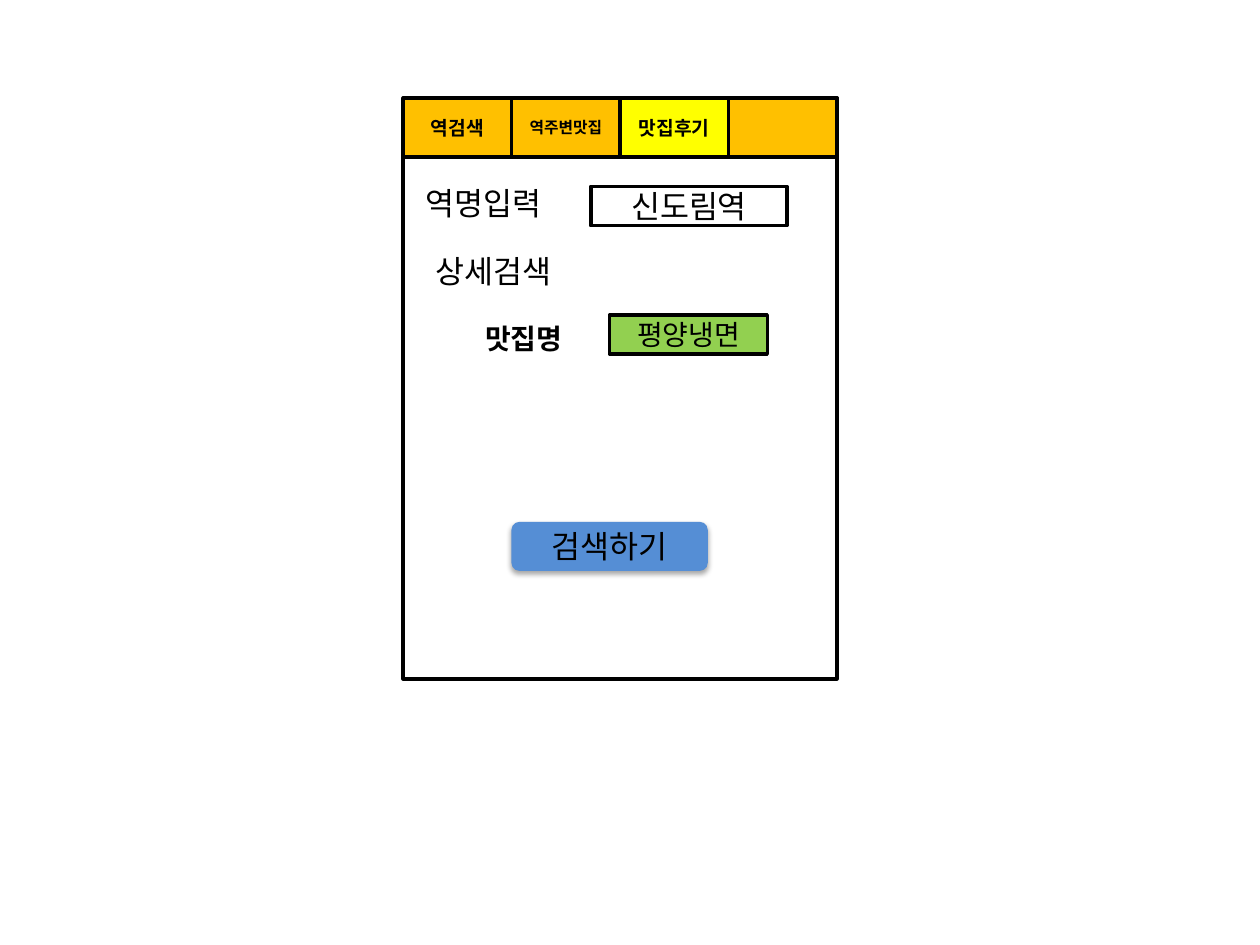
from lxml import etree
from pptx import Presentation
from pptx.dml.color import RGBColor
from pptx.enum.shapes import MSO_SHAPE
from pptx.enum.text import MSO_ANCHOR, MSO_AUTO_SIZE, PP_ALIGN
from pptx.oxml.ns import qn
from pptx.util import Cm, Pt

BLACK = RGBColor(0x00, 0x00, 0x00)
WHITE = RGBColor(0xFF, 0xFF, 0xFF)
ORANGE = RGBColor(0xFF, 0xC0, 0x00)
YELLOW = RGBColor(0xFF, 0xFF, 0x00)
GREEN = RGBColor(0x92, 0xD0, 0x50)
BLUE = RGBColor(0x55, 0x8E, 0xD5)


class Screen:
    """Style of the app mock-up and the slide it is drawn on."""

    font = "Noto Sans CJK KR"
    border = Pt(2)

    def __init__(self, slide):
        """Keep the slide to draw on."""
        self.slide = slide

    def set_text(self, frame, text, size, bold, align):
        """Put one styled paragraph into a text frame."""
        frame.word_wrap = True
        paragraph = frame.paragraphs[0]
        paragraph.alignment = align
        run = paragraph.add_run()
        run.text = text
        run.font.name = self.font
        run.font.size = Pt(size)
        run.font.bold = bold
        run.font.color.rgb = BLACK
        east_asian = etree.SubElement(run.font._element, qn("a:ea"))
        east_asian.set("typeface", self.font)

    def box(self, left, top, width, height, fill=None, text="", size=18,
            bold=False, kind=MSO_SHAPE.RECTANGLE, outlined=True):
        """Draw a preset shape with optional centred text."""
        shape = self.slide.shapes.add_shape(
            kind, Cm(left), Cm(top), Cm(width), Cm(height))
        shape.shadow.inherit = False
        if fill is None:
            shape.fill.background()
        else:
            shape.fill.solid()
            shape.fill.fore_color.rgb = fill
        if outlined:
            shape.line.color.rgb = BLACK
            shape.line.width = self.border
        else:
            shape.line.fill.background()
        if text:
            shape.text_frame.vertical_anchor = MSO_ANCHOR.MIDDLE
            self.set_text(shape.text_frame, text, size, bold, PP_ALIGN.CENTER)
        return shape

    def button(self, left, top, width, height, text):
        """Draw a rounded button with a soft shadow below it."""
        shape = self.box(left, top, width, height, BLUE, text,
                         kind=MSO_SHAPE.ROUNDED_RECTANGLE, outlined=False)
        effects = shape._element.spPr.find(qn("a:effectLst"))
        shadow = etree.SubElement(
            effects, qn("a:outerShdw"), blurRad=str(Pt(3.1)),
            dist=str(Pt(1.8)), dir="5400000", rotWithShape="0")
        color = etree.SubElement(shadow, qn("a:srgbClr"), val=str(BLACK))
        etree.SubElement(color, qn("a:alpha"), val="35000")

    def label(self, left, top, width, height, text, size=18, bold=False):
        """Add a left-aligned label."""
        frame = self.slide.shapes.add_textbox(
            Cm(left), Cm(top), Cm(width), Cm(height)).text_frame
        self.set_text(frame, text, size, bold, PP_ALIGN.LEFT)
        frame.auto_size = MSO_AUTO_SIZE.SHAPE_TO_FIT_TEXT


def main():
    """Build the restaurant review search screen."""
    deck = Presentation()
    deck.slide_width, deck.slide_height = Cm(25.4), Cm(19.05)
    screen = Screen(deck.slides.add_slide(deck.slide_layouts[6]))

    left, top, width = 8.13, 1.98, 8.74
    screen.box(left, top, width, 11.71)

    tabs = [("역검색", 11, ORANGE), ("역주변맛집", 9, ORANGE),
            ("맛집후기", 11, YELLOW), ("", 11, ORANGE)]
    tab_width = width / len(tabs)
    for i, (text, size, fill) in enumerate(tabs):
        screen.box(left + i * tab_width, top, tab_width, 1.19,
                   fill, text, size, bold=True)

    screen.label(8.33, 3.58, 8.33, 1.02, "역명입력")
    screen.box(11.91, 3.76, 3.96, 0.79, WHITE, "신도림역")
    screen.button(10.31, 10.52, 3.96, 0.99, "검색하기")
    screen.label(8.53, 4.95, 3.38, 1.02, "상세검색")
    screen.label(9.53, 6.35, 2.97, 0.94, "맛집명", 16, bold=True)
    screen.box(12.29, 6.35, 3.18, 0.79, GREEN, "평양냉면", 16)

    deck.save("out.pptx")


main()
